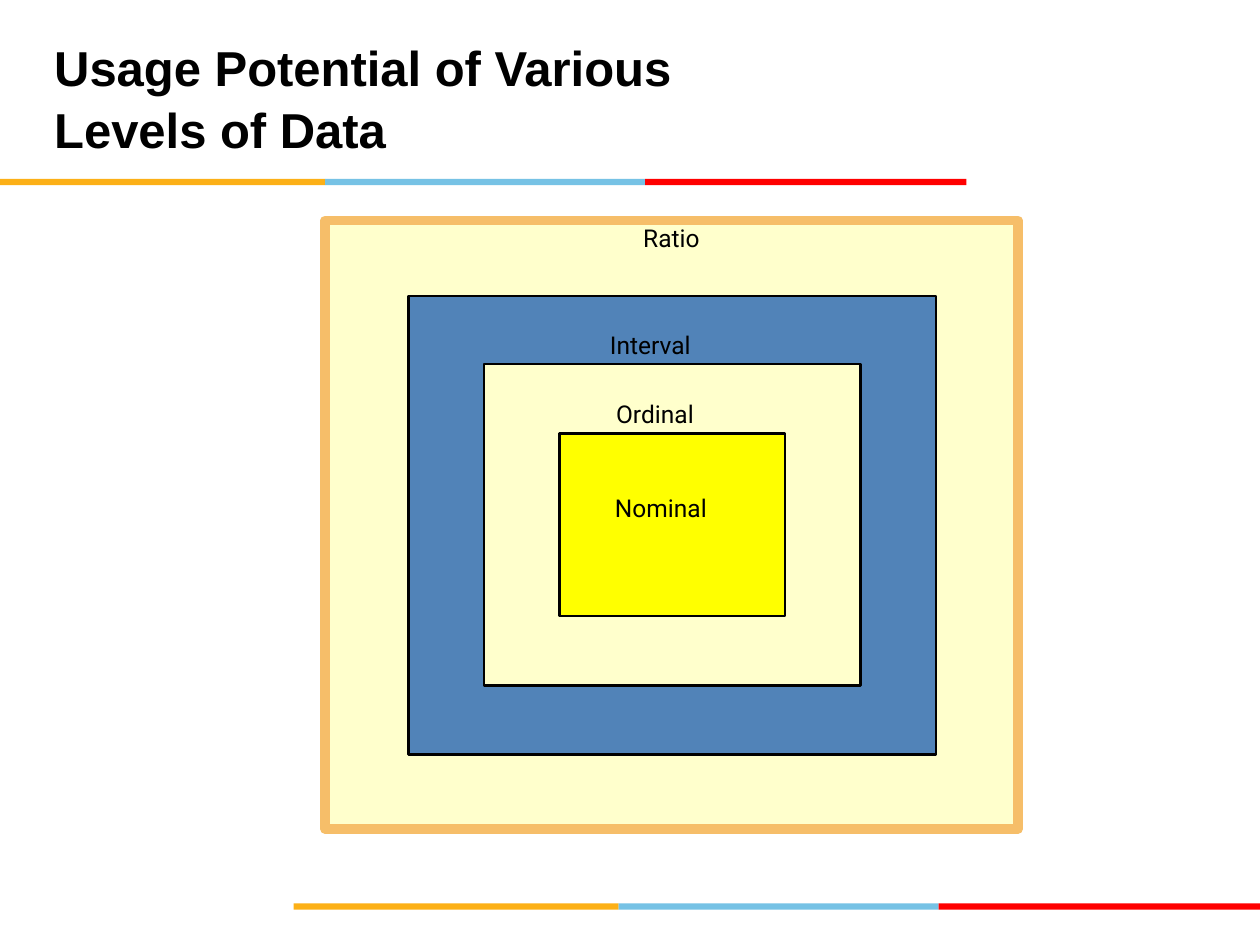
from pptx import Presentation
from pptx.dml.color import RGBColor
from pptx.enum.shapes import MSO_SHAPE
from pptx.enum.text import MSO_ANCHOR, PP_ALIGN
from pptx.util import Inches, Pt

BAND = [("FCB017", 2.58), ("76C2E5", 2.54), ("FF0000", 2.55)]
LEVELS = [
    ("Ratio", (2.58, 1.75, 5.5, 4.83), "FFFFCC", ("F6BE69", 5.37), (0, 0.02), PP_ALIGN.CENTER),
    ("Interval", (3.24, 2.35, 4.19, 3.64), "5183B8", ("000000", 1.5), (1.6, 0.27), PP_ALIGN.LEFT),
    ("Ordinal", (3.84, 2.89, 2.99, 2.55), "FFFFCC", ("000000", 1.5), (1.05, 0.28), PP_ALIGN.LEFT),
    ("Nominal", (4.44, 3.44, 1.79, 1.45), "FFFF00", ("000000", 1.5), (0.44, 0.47), PP_ALIGN.LEFT),
]


def color(value):
    return RGBColor.from_string(value)


def add_rect(s, box, fill, line=None):
    sp = s.shapes.add_shape(MSO_SHAPE.RECTANGLE, *map(Inches, box))
    sp.shadow.inherit = False
    sp.fill.solid()
    sp.fill.fore_color.rgb = color(fill)
    if line:
        sp.line.color.rgb = color(line[0])
        sp.line.width = Pt(line[1])
    else:
        sp.line.fill.background()
    return sp


def write_text(sp, text, font="Roboto", size=14, bold=False, inset=(0, 0),
               align=PP_ALIGN.LEFT, anchor=MSO_ANCHOR.TOP, spacing=None):
    tf = sp.text_frame
    tf.word_wrap = True
    tf.vertical_anchor = anchor
    tf.margin_left, tf.margin_top = map(Inches, inset)
    tf.margin_right = tf.margin_bottom = 0
    p = tf.paragraphs[0]
    p.text = text
    p.alignment = align
    p.line_spacing = spacing
    for r in p.runs:
        r.font.name = font
        r.font.size = Pt(size)
        r.font.bold = bold
        r.font.color.rgb = color("000000")


def add_band(s, left, top):
    for fill, width in BAND:
        add_rect(s, (left, top, width, 0.05), fill)
        left += width


def add_title(s, text):
    sp = s.shapes.add_textbox(Inches(0.43), Inches(0.3), Inches(6.69), Inches(0.93))
    write_text(sp, text, font="Arial", size=28, bold=True,
               anchor=MSO_ANCHOR.MIDDLE, spacing=1.05)


def add_level(s, label, box, fill, line, inset, align):
    sp = add_rect(s, box, fill, line)
    write_text(sp, label, inset=inset, align=align)


def main():
    prs = Presentation()
    prs.slide_width, prs.slide_height = Inches(10), Inches(7.5)
    s = prs.slides.add_slide(prs.slide_layouts[6])
    add_band(s, 2.33, 7.17)
    add_band(s, 0, 1.42)
    add_title(s, "Usage Potential of Various\vLevels of Data")
    for level in LEVELS:
        add_level(s, *level)
    prs.save("out.pptx")


if __name__ == "__main__":
    main()
